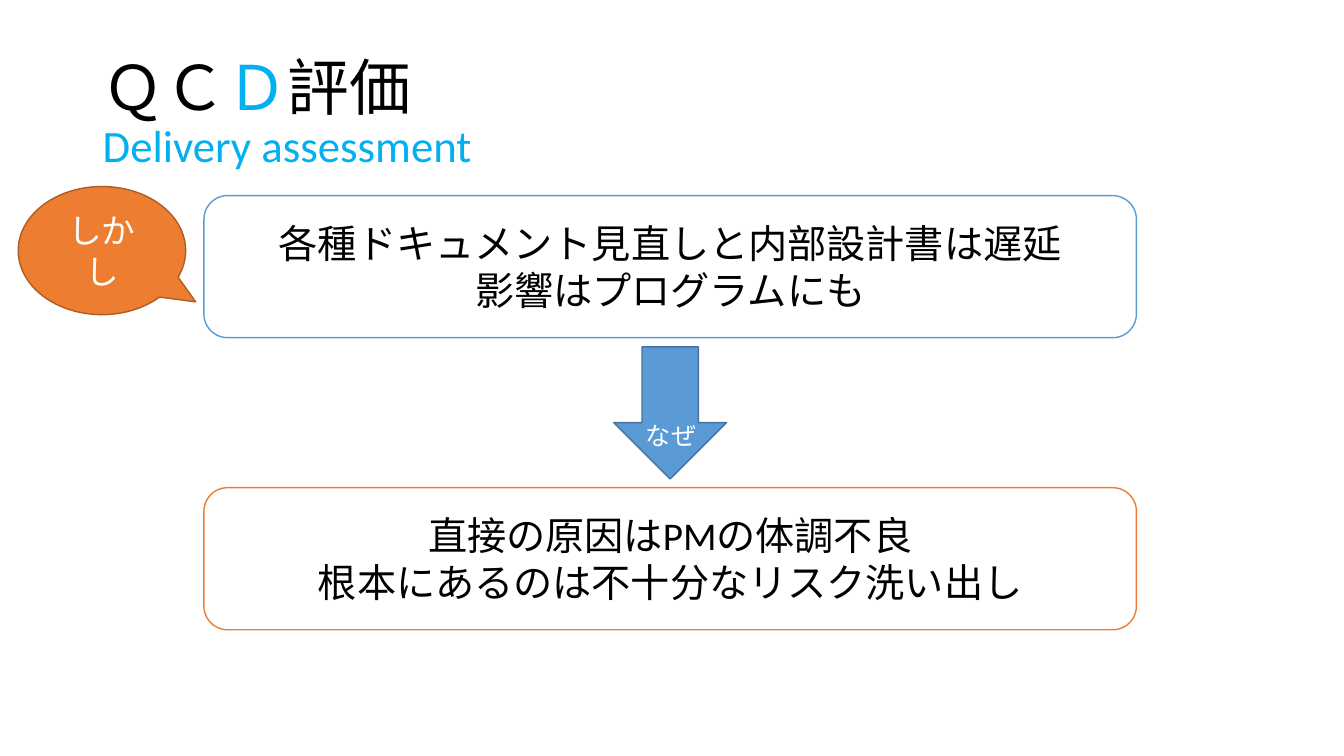
from pptx import Presentation
from pptx.dml.color import RGBColor
from pptx.enum.shapes import MSO_SHAPE
from pptx.enum.text import MSO_ANCHOR, PP_ALIGN
from pptx.util import Cm, Pt

WHITE = RGBColor(0xFF, 0xFF, 0xFF)
BLACK = RGBColor(0x00, 0x00, 0x00)
SKY = RGBColor(0x00, 0xB0, 0xF0)
BLUE = RGBColor(0x5B, 0x9B, 0xD5)
NAVY = RGBColor(0x43, 0x73, 0x9E)
ORANGE = RGBColor(0xED, 0x7D, 0x31)
BROWN = RGBColor(0xAF, 0x5C, 0x24)
FONT = "Calibri"


def add_run(para, text, size=28, color=BLACK):
    """Add one formatted run to a paragraph."""
    run = para.add_run()
    run.text = text
    run.font.name = FONT
    run.font.size = Pt(size)
    run.font.color.rgb = color


def put_text(shape, *lines, align=PP_ALIGN.CENTER, anchor=MSO_ANCHOR.MIDDLE, **style):
    """Fill a shape with one paragraph per line."""
    frame = shape.text_frame
    frame.word_wrap = True
    frame.vertical_anchor = anchor
    for num, line in enumerate(lines):
        para = frame.add_paragraph() if num else frame.paragraphs[0]
        para.alignment = align
        add_run(para, line, **style)


def add_form(slide, kind, box, fill, line):
    """Add a filled and outlined preset shape."""
    shape = slide.shapes.add_shape(kind, *map(Cm, box))
    shape.shadow.inherit = False
    shape.fill.solid()
    shape.fill.fore_color.rgb = fill
    shape.line.color.rgb = line
    shape.line.width = Pt(1)
    return shape


def add_panel(slide, top, line, *lines):
    """Add a white rounded panel with centred lines."""
    box = (5.14, top, 23.5, 3.58)
    panel = add_form(slide, MSO_SHAPE.ROUNDED_RECTANGLE, box, WHITE, line)
    put_text(panel, *lines)


def add_title(slide):
    """Add the two-line heading in mixed colours."""
    box = slide.shapes.add_textbox(Cm(2.34), Cm(1.04), Cm(29.21), Cm(3.68))
    frame = box.text_frame
    frame.word_wrap = True
    frame.vertical_anchor = MSO_ANCHOR.MIDDLE
    para = frame.paragraphs[0]
    para.line_spacing = 0.9
    for text, color in (("ＱＣ", BLACK), ("Ｄ", SKY), ("評価", BLACK)):
        add_run(para, text, size=44, color=color)
    para.add_line_break()
    add_run(para, "Delivery assessment", size=32, color=SKY)


def add_call(slide):
    """Add the oval speech bubble."""
    box = (0.46, 4.7, 4.22, 3.23)
    call = add_form(slide, MSO_SHAPE.OVAL_CALLOUT, box, ORANGE, BROWN)
    call.adjustments[0] = 0.56
    call.adjustments[1] = 0.4
    put_text(call, "しかし", size=24, color=WHITE)


def add_arrow(slide):
    """Add the down arrow and its label."""
    box = (15.47, 8.74, 2.84, 3.33)
    add_form(slide, MSO_SHAPE.DOWN_ARROW, box, BLUE, NAVY)
    label = slide.shapes.add_textbox(Cm(16.03), Cm(10.46), Cm(2.06), Cm(1.02))
    put_text(label, "なぜ", size=18, color=WHITE,
             align=PP_ALIGN.LEFT, anchor=MSO_ANCHOR.TOP)


def main():
    """Build and save the slide."""
    deck = Presentation()
    deck.slide_width, deck.slide_height = Cm(33.87), Cm(19.05)
    slide = deck.slides.add_slide(deck.slide_layouts[6])
    add_panel(slide, 4.93, BLUE,
              "各種ドキュメント見直しと内部設計書は遅延", "影響はプログラムにも")
    add_panel(slide, 12.29, ORANGE,
              "直接の原因はPMの体調不良", "根本にあるのは不十分なリスク洗い出し")
    add_call(slide)
    add_title(slide)
    add_arrow(slide)
    deck.save("out.pptx")


if __name__ == "__main__":
    main()
